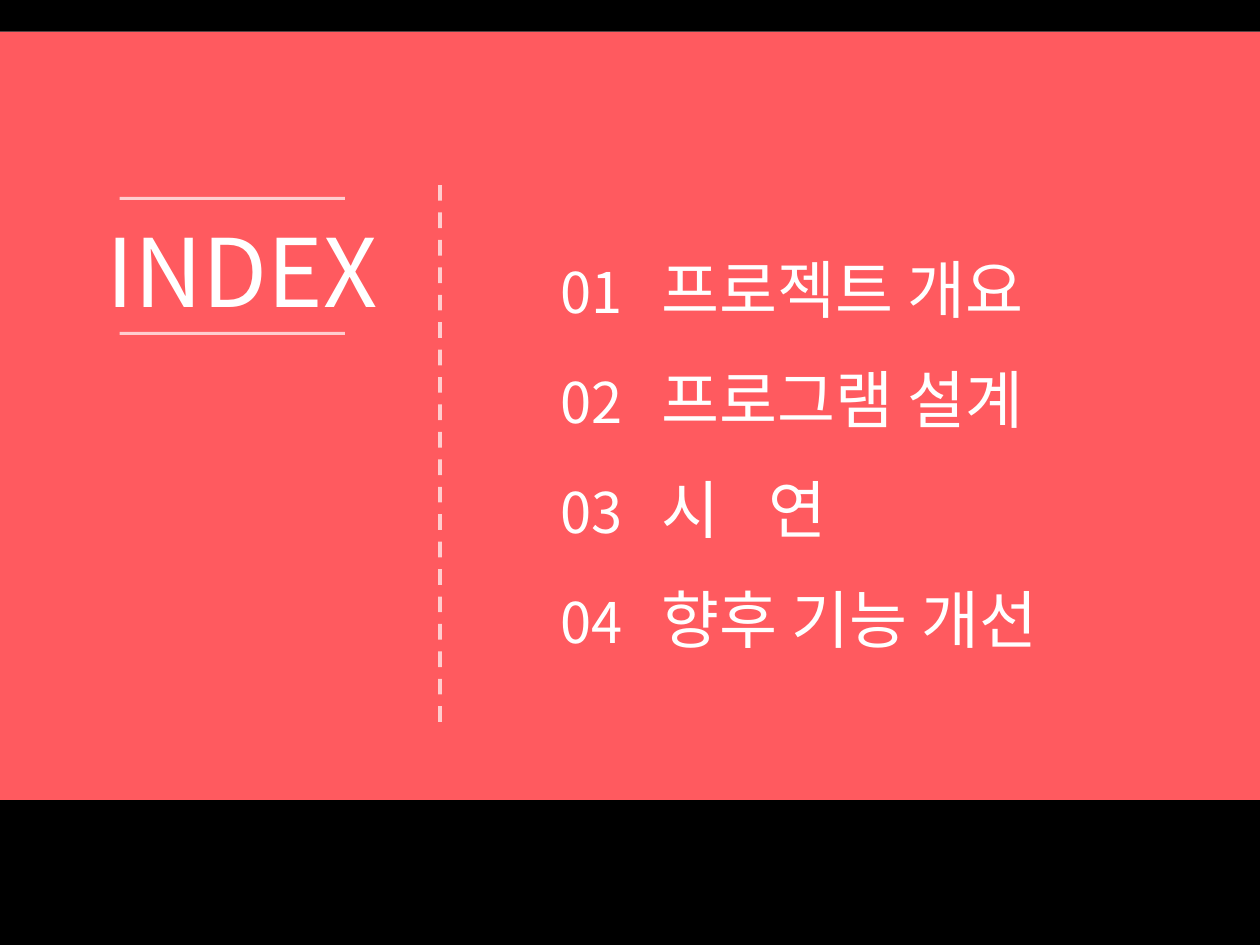
"""Build the index slide: a heading between rules beside a numbered list of chapters."""
from dataclasses import dataclass

from lxml import etree
from pptx import Presentation
from pptx.dml.color import RGBColor
from pptx.enum.dml import MSO_LINE
from pptx.enum.shapes import MSO_CONNECTOR, MSO_SHAPE
from pptx.enum.text import MSO_ANCHOR, MSO_AUTO_SIZE, PP_ALIGN
from pptx.oxml.ns import qn
from pptx.util import Cm, Pt

RECTANGLE = MSO_SHAPE.RECTANGLE
STRAIGHT = MSO_CONNECTOR.STRAIGHT
SOLID, DASH = MSO_LINE.SOLID, MSO_LINE.DASH
TOP = MSO_ANCHOR.TOP
LEFT = PP_ALIGN.LEFT
NO_AUTOFIT = MSO_AUTO_SIZE.NONE

SLIDE_WIDTH, SLIDE_HEIGHT = 25.4, 19.05
CHAPTERS = [["프로젝트 개요"], ["프로그램 설계"], ["시", "연"], ["향후 기능 개선"]]


@dataclass(frozen=True)
class Theme:
    font: str = "Noto Sans CJK KR"
    coral: RGBColor = RGBColor(0xFF, 0x5A, 0x5F)
    black: RGBColor = RGBColor(0, 0, 0)
    white: RGBColor = RGBColor(0xFF, 0xFF, 0xFF)
    heading_size: float = 54
    number_size: float = 32
    chapter_size: float = 36
    chapter_gap: float = 19.6
    number_tracking: float = 14.1
    word_tracking: float = 19.8
    line_opacity: int = 70


def add_text(paragraph, text, *, size, color, font, tracking=0):
    run = paragraph.add_run()
    run.text = text
    run.font.size = Pt(size)
    run.font.name = font
    run.font.color.rgb = color
    properties = run.font._element
    east_asian = etree.SubElement(properties, qn("a:ea"))
    east_asian.set("typeface", font)
    if tracking:
        properties.set("spc", str(round(tracking * 100)))


class SlideBuilder:
    def __init__(self, slide, theme):
        self.slide = slide
        self.theme = theme

    def band(self, left, top, width, height, color):
        shape = self.slide.shapes.add_shape(
            RECTANGLE, Cm(left), Cm(top), Cm(width), Cm(height))
        shape.shadow.inherit = False
        shape.fill.solid()
        shape.fill.fore_color.rgb = color
        shape.line.fill.background()

    def line(self, start, end, width, dash=SOLID):
        connector = self.slide.shapes.add_connector(
            STRAIGHT, *(Cm(value) for value in (*start, *end)))
        connector.line.width = Pt(width)
        connector.line.color.rgb = self.theme.white
        connector.line.dash_style = dash
        properties = connector._element.spPr
        color = properties.find(".//" + qn("a:srgbClr"))
        alpha = etree.SubElement(color, qn("a:alpha"))
        alpha.set("val", str(self.theme.line_opacity * 1000))
        etree.SubElement(properties, qn("a:effectLst"))

    def place(self, shape, left, top, width, height):
        shape.left, shape.top = Cm(left), Cm(top)
        shape.width, shape.height = Cm(width), Cm(height)
        self.slide.shapes._spTree.append(shape._element)
        frame = shape.text_frame
        frame.auto_size = NO_AUTOFIT
        frame.vertical_anchor = TOP
        frame.word_wrap = True
        return frame

    def format_paragraph(self, paragraph, gap=0):
        paragraph.alignment = LEFT
        paragraph.line_spacing = 1.0
        paragraph.space_before = Pt(0)
        paragraph.space_after = Pt(gap)
        properties = paragraph._p.get_or_add_pPr()
        properties.set("marL", "0")
        properties.set("indent", "0")
        etree.SubElement(properties, qn("a:buNone"))

    def heading(self, text, left, top, width, height):
        theme = self.theme
        frame = self.place(self.slide.shapes.title, left, top, width, height)
        paragraph = frame.paragraphs[0]
        self.format_paragraph(paragraph)
        add_text(paragraph, text, size=theme.heading_size,
                 color=theme.white, font=theme.font)

    def numbered_list(self, items, left, top, width, height):
        theme = self.theme
        style = {"color": theme.white, "font": theme.font}
        frame = self.place(self.slide.placeholders[1], left, top, width, height)
        for number, words in enumerate(items, start=1):
            paragraph = frame.paragraphs[0] if number == 1 else frame.add_paragraph()
            self.format_paragraph(paragraph, theme.chapter_gap)
            add_text(paragraph, f"{number:02d}", size=theme.number_size, **style)
            tracking = theme.number_tracking
            for word in words:
                add_text(paragraph, " ", size=theme.chapter_size,
                         tracking=tracking, **style)
                add_text(paragraph, word, size=theme.chapter_size, **style)
                tracking = theme.word_tracking


def main():
    presentation = Presentation()
    presentation.slide_width = Cm(SLIDE_WIDTH)
    presentation.slide_height = Cm(SLIDE_HEIGHT)
    slide = presentation.slides.add_slide(presentation.slide_layouts[1])
    theme = Theme()
    builder = SlideBuilder(slide, theme)

    builder.band(0, 0.64, SLIDE_WIDTH, 15.57, theme.coral)
    builder.band(0, 16.13, SLIDE_WIDTH, 2.92, theme.black)
    builder.band(0, 0, SLIDE_WIDTH, 0.64, theme.black)
    for rule_top in (4.0, 6.72):
        builder.line((2.41, rule_top), (6.95, rule_top), 1.75)
    builder.heading("INDEX", 1.9, 4.17, 6.81, 2.57)
    builder.line((8.87, 3.73), (8.87, 14.73), 2.25, DASH)
    builder.numbered_list(CHAPTERS, 11.05, 4.93, 13.44, 8.43)
    builder.band(17.7, 16.13, 7.7, 1.4, theme.black)

    presentation.save("out.pptx")


if __name__ == "__main__":
    main()
